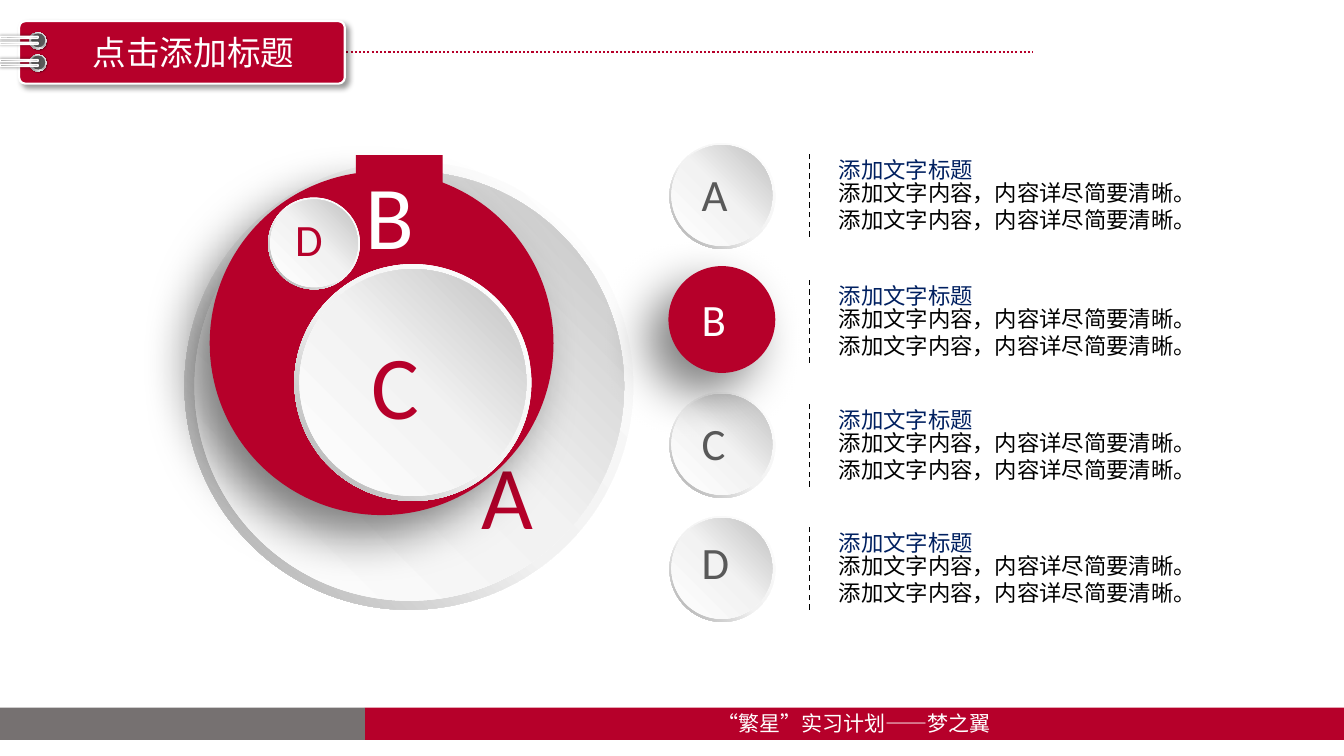
from lxml import etree
from pptx import Presentation
from pptx.dml.color import RGBColor
from pptx.enum.dml import MSO_LINE
from pptx.enum.shapes import MSO_CONNECTOR, MSO_SHAPE
from pptx.enum.text import MSO_ANCHOR, MSO_AUTO_SIZE, PP_ALIGN
from pptx.oxml.ns import qn
from pptx.util import Inches, Pt

RECT, ROUND = MSO_SHAPE.RECTANGLE, MSO_SHAPE.ROUNDED_RECTANGLE
OVAL, DONUT = MSO_SHAPE.OVAL, MSO_SHAPE.DONUT
STRAIGHT = MSO_CONNECTOR.STRAIGHT
DOT, DASH = MSO_LINE.ROUND_DOT, MSO_LINE.DASH
TOP, FIT = MSO_ANCHOR.TOP, MSO_AUTO_SIZE.SHAPE_TO_FIT_TEXT
LEFT, CENTER = PP_ALIGN.LEFT, PP_ALIGN.CENTER

LATIN, HAN = "Calibri", "Noto Sans CJK SC"
RED, WHITE, BLACK = "B6002A", "FFFFFF", "000000"
GRAY, NAVY, SLATE = "595959", "002060", "767171"

TITLE = "点击添加标题"
FOOTER = "“繁星”实习计划——梦之翼"
HEAD = "添加文字标题"
BODY = ["添加文字内容，内容详尽简要清晰。"] * 2

RIM = [(0, WHITE), (55, "F2F2F2"), (100, "A6A6A6")]
DISC = [(0, WHITE), (51, "F2F2F2"), (100, "BFBFBF")]
HOLE = [(0, WHITE), (17, "A6A6A6"), (35, "F2F2F2"),
        (55, "A6A6A6"), (75, "F2F2F2"), (100, "A6A6A6")]
WIRE = [(0, "808080"), (23, "A6A6A6"), (52, "D9D9D9"),
        (74, WHITE), (100, "A6A6A6")]

DEEP = (50, 35, 20, 135)
SOFT = (40, 4, 3, 45)
THIN = (40, 1, 1, 45)
FLAT = (40, 2, 0, 0)

HOLES = [0.54, 0.32]
WIRES = [0.46, 0.41, 0.24, 0.18]
ROWS = [("A", 1.42, 1.6, 0.55, 1.5),
        ("C", 3.89, 4.08, 0.49, 3.98),
        ("D", 5.12, 5.26, 0.53, 5.2),
        ("B", 2.64, 2.84, 0.53, 2.75)]

deck = Presentation()
deck.slide_width, deck.slide_height = Inches(13.33), Inches(7.5)
slide = deck.slides.add_slide(deck.slide_layouts[5])
shapes = slide.shapes


def tint(code):
    return RGBColor.from_string(code)


def place(box):
    return [Inches(v) for v in box]


def shade(shape, look):
    alpha, blur, dist, turn = look
    fx = shape._element.spPr.find(qn("a:effectLst"))
    outer = etree.SubElement(
        fx, qn("a:outerShdw"), blurRad=str(Pt(blur)), dist=str(Pt(dist)),
        dir=str(turn * 60000), algn="ctr", rotWithShape="0")
    color = etree.SubElement(outer, qn("a:srgbClr"), val=BLACK)
    etree.SubElement(color, qn("a:alpha"), val=str(alpha * 1000))


def blend(shape, stops, turn):
    shape.fill.gradient()
    shape.fill.gradient_angle = -turn % 360
    ramp = shape._element.spPr.find(".//" + qn("a:gsLst"))
    for stop in list(ramp):
        ramp.remove(stop)
    for spot, code in stops:
        stop = etree.SubElement(ramp, qn("a:gs"), pos=str(spot * 1000))
        etree.SubElement(stop, qn("a:srgbClr"), val=code)


def draw(kind, box, fill, turn=0, adj=None, edge=None, look=None, spin=0):
    shape = shapes.add_shape(kind, *place(box))
    shape.shadow.inherit = False
    shape.rotation = spin
    if adj is not None:
        shape.adjustments[0] = adj
    if isinstance(fill, str):
        shape.fill.solid()
        shape.fill.fore_color.rgb = tint(fill)
    else:
        blend(shape, fill, turn)
    if edge:
        shape.line.color.rgb = tint(WHITE)
        shape.line.width = Pt(edge)
    else:
        shape.line.fill.background()
    if look:
        shade(shape, look)
    return shape


def write(shape, lines, size, code, face=LATIN, align=LEFT):
    frame = shape.text_frame
    frame.word_wrap = False
    frame.auto_size = FIT
    frame.vertical_anchor = TOP
    for i, line in enumerate(lines):
        para = frame.add_paragraph() if i else frame.paragraphs[0]
        para.alignment = align
        run = para.add_run()
        run.text = line
        run.font.size = Pt(size)
        run.font.name = face
        run.font.color.rgb = tint(code)
        etree.SubElement(run.font._element, qn("a:ea"), typeface=face)


def label(box, lines, size, code, face=LATIN, align=LEFT):
    write(shapes.add_textbox(*place(box)), lines, size, code, face, align)


def rule(ends, code, width, style):
    line = shapes.add_connector(STRAIGHT, *place(ends))
    line.line.color.rgb = tint(code)
    line.line.width = Pt(width)
    line.line.dash_style = style
    etree.SubElement(line._element.spPr, qn("a:effectLst"))


def plate(x, y, size, inset, inner):
    draw(DONUT, (x, y, size, size), RIM, 135, adj=0.049)
    draw(OVAL, (x + inset, y + inset, inner, inner), DISC, 315)


draw(RECT, (3.62, 7.02, 9.71, 0.32), RED)
label((6.99, 7, 2.97, 0.35), [FOOTER], 15, WHITE, HAN, CENTER)
rule((3.31, 0.52, 10.24, 0.52), RED, 1.5, DOT)
draw(ROUND, (0.19, 0.21, 3.23, 0.62), RED, adj=0.1, edge=1.5, look=SOFT)
for y in HOLES:
    draw(OVAL, (0.29, y, 0.17, 0.17), HOLE, 45, look=THIN, spin=270)
    draw(OVAL, (0.31, y + 0.01, 0.14, 0.14), GRAY, spin=270)
for y in WIRES:
    draw(ROUND, (0.18, y, 0.02, 0.38), WIRE, 90, 0.5, 1, FLAT, 270)
draw(RECT, (0, 7.02, 3.62, 0.32), SLATE)

plate(1.83, 1.6, 4.45, 0.1, 4.26)
label((4.68, 4.31, 0.62, 1.18), ["A"], 64, RED)
draw(OVAL, (2.08, 1.7, 3.41, 3.41), RED, look=DEEP)
write(draw(RECT, (3.53, 1.54, 0.86, 1.18), RED), ["B"], 64, WHITE)
plate(2.92, 2.62, 2.35, 0.05, 2.25)
label((3.59, 3.22, 0.65, 1.18), ["C"], 64, RED)
plate(2.66, 1.96, 0.91, 0.02, 0.87)
label((2.83, 2.05, 0.44, 0.64), ["D"], 32, RED)

for mark, y, rise, wide, top in ROWS:
    spot = (6.86, rise, wide, 0.64)
    if mark == "B":
        draw(OVAL, (6.63, y, 1.06, 1.06), RED, look=DEEP)
        write(draw(RECT, spot, RED), [mark], 32, WHITE)
    else:
        plate(6.64, y, 1.05, 0.02, 1)
        label(spot, [mark], 32, GRAY)
    label((8.22, top, 1.55, 0.37), [HEAD], 16, NAVY, HAN)
    label((8.22, top + 0.23, 3.79, 0.64), BODY, 16, BLACK, HAN)
    rule((8.03, top + 0.85, 8.03, top + 0.01), BLACK, 1, DASH)

title = shapes.title
title.left, title.top, title.width, title.height = place((0.81, 0.27, 2.22, 0.5))
write(title, [TITLE], 24, WHITE, HAN, CENTER)
shapes._spTree.append(title._element)

deck.save("out.pptx")
